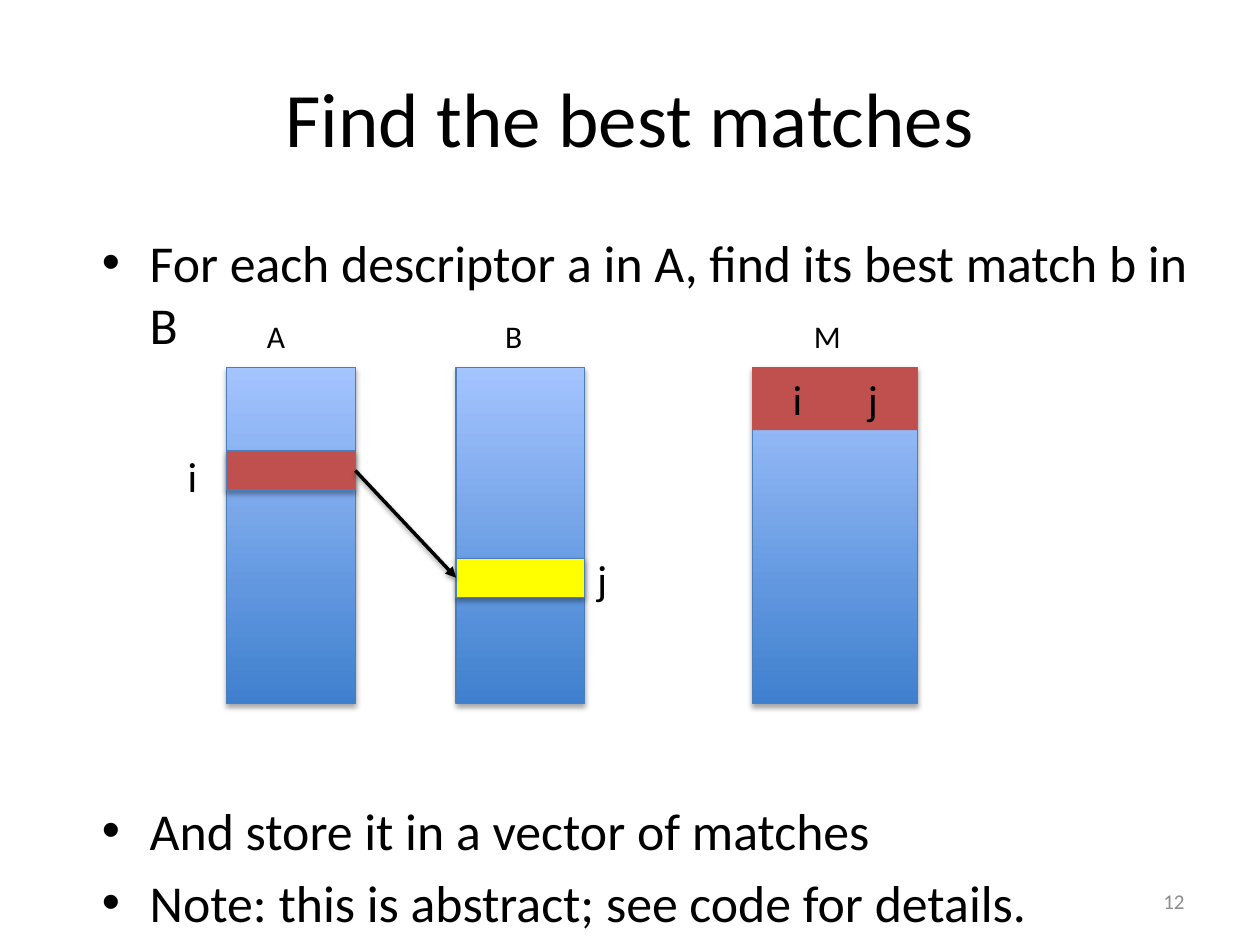
from lxml.etree import SubElement
from pptx import Presentation
from pptx.dml.color import RGBColor
from pptx.enum.shapes import MSO_CONNECTOR, MSO_SHAPE
from pptx.enum.text import MSO_ANCHOR as Anchor, PP_ALIGN as Align
from pptx.oxml.ns import qn
from pptx.util import Inches, Pt

BLACK = RGBColor(0x00, 0x00, 0x00)
GREY = RGBColor(0x8C, 0x8C, 0x8C)
RED = RGBColor(0xC0, 0x50, 0x4D)
YELLOW = RGBColor(0xFF, 0xFF, 0x00)
DARK_BLUE = RGBColor(0x3F, 0x80, 0xCE)
LIGHT_BLUE = RGBColor(0xA4, 0xC4, 0xFF)
OUTLINE = RGBColor(0x4B, 0x7E, 0xBC)

# Grid of 100 columns by 75 rows
COLUMNS, ROWS = 100, 75
CELL = Inches(0.1)

A_LEFT, B_LEFT, M_LEFT = 18, 36.2, 59.7
VECTOR_TOP, VECTOR_HEIGHT = 29.15, 26.7
VECTOR_WIDTH, M_WIDTH = 10.2, 13.1
ITEM_HEIGHT = 3.1


def cells(*counts):
    return [round(count * CELL) for count in counts]


def add_effects(shape, opacity, distance):
    """Give a shape a soft shadow that falls straight down."""
    effects = SubElement(shape._element.spPr, qn("a:effectLst"))
    shadow = SubElement(effects, qn("a:outerShdw"), blurRad=str(Pt(3.1)),
                        dist=str(Pt(distance)), dir="5400000", rotWithShape="0")
    color = SubElement(shadow, qn("a:srgbClr"), val=str(BLACK))
    SubElement(color, qn("a:alpha"), val=str(opacity * 1000))


def format_runs(text_frame, size, color=BLACK):
    for paragraph in text_frame.paragraphs:
        for run in paragraph.runs:
            run.font.name = "Calibri"
            run.font.size = Pt(size)
            run.font.color.rgb = color


def add_text(slide, box, text, size, color=BLACK, align=Align.LEFT, anchor=Anchor.TOP):
    text_frame = slide.shapes.add_textbox(*cells(*box)).text_frame
    text_frame.word_wrap = True
    text_frame.vertical_anchor = anchor
    text_frame.text = text
    for paragraph in text_frame.paragraphs:
        paragraph.alignment = align
    format_runs(text_frame, size, color)
    return text_frame


def add_tabs(paragraph, positions, align):
    tab_list = SubElement(paragraph._p.get_or_add_pPr(), qn("a:tabLst"))
    for position in cells(*positions):
        SubElement(tab_list, qn("a:tab"), pos=str(position), algn=align)


def add_bullets(slide, box, items, size):
    """Add bulleted lines, given as pairs of text and space before in points."""
    text_frame = add_text(slide, box, "\n".join(text for text, _ in items), size)
    indent = Inches(0.38)
    for paragraph, (_, space) in zip(text_frame.paragraphs, items):
        properties = paragraph._p.get_or_add_pPr()
        properties.set("marL", str(indent))
        properties.set("indent", str(-indent))
        SubElement(properties, qn("a:buFont"), typeface="Arial")
        SubElement(properties, qn("a:buChar"), char="•")
        paragraph.space_before = Pt(space)


def add_rectangle(slide, box):
    shape = slide.shapes.add_shape(MSO_SHAPE.RECTANGLE, *cells(*box))
    shape.shadow.inherit = False
    return shape


def add_outlined(slide, box, color=None):
    """Add a shadowed rectangle, with a blue gradient when no color is given."""
    shape = slide.shapes.add_shape(MSO_SHAPE.RECTANGLE, *cells(*box))
    if color is None:
        shape.fill.gradient()
        shape.fill.gradient_angle = 90
        for stop, stop_color in zip(shape.fill.gradient_stops, (DARK_BLUE, LIGHT_BLUE)):
            stop.color.rgb = stop_color
    else:
        shape.fill.solid()
        shape.fill.fore_color.rgb = color
    shape.line.color.rgb = OUTLINE
    shape.line.width = Pt(0.75)
    add_effects(shape, 35, 1.8)
    return shape


def add_arrow(slide, source, target):
    """Join the right side of source to the left side of target."""
    arrow = slide.shapes.add_connector(MSO_CONNECTOR.STRAIGHT, 0, 0, 0, 0)
    arrow.begin_connect(source, 3)
    arrow.end_connect(target, 1)
    arrow.line.color.rgb = BLACK
    arrow.line.width = Pt(2)
    SubElement(arrow.line._get_or_add_ln(), qn("a:tailEnd"), type="triangle")
    add_effects(arrow, 38, 1.6)


def add_match_header(slide):
    header = add_rectangle(slide, (M_LEFT, VECTOR_TOP, M_WIDTH, 5))
    header.fill.solid()
    header.fill.fore_color.rgb = RED
    header.line.fill.background()
    text_frame = header.text_frame
    text_frame.text = "\ti\tj"
    paragraph = text_frame.paragraphs[0]
    paragraph.alignment = Align.LEFT
    add_tabs(paragraph, (2.6, 8.6), "ctr")
    format_runs(text_frame, 24)


def main():
    presentation = Presentation()
    presentation.slide_width, presentation.slide_height = cells(COLUMNS, ROWS)
    slide = presentation.slides.add_slide(presentation.slide_layouts[6])

    add_text(slide, (5, 3, 90, 12.5), "Find the best matches", 44,
             align=Align.CENTER, anchor=Anchor.MIDDLE)
    add_bullets(slide, (7.1, 17.8, 90, 49.5), [
        ("For each descriptor a in A, find its best match b in B", 0),
        ("And store it in a vector of matches", 253.5),
        ("Note: this is abstract; see code for details.", 5.9),
    ], 29.6)
    add_text(slide, (71.7, 69.5, 23.3, 4), "12", 12, GREY, Align.RIGHT, Anchor.MIDDLE)

    for left, width in ((A_LEFT, VECTOR_WIDTH), (B_LEFT, VECTOR_WIDTH), (M_LEFT, M_WIDTH)):
        add_outlined(slide, (left, VECTOR_TOP, width, VECTOR_HEIGHT))
    item_a = add_outlined(slide, (A_LEFT, 35.8, VECTOR_WIDTH, ITEM_HEIGHT), RED)
    item_b = add_outlined(slide, (B_LEFT, 44.3, VECTOR_WIDTH, ITEM_HEIGHT), YELLOW)
    add_arrow(slide, item_a, item_b)

    add_text(slide, (13.9, 35.3, 3, 5), "i", 24)
    add_text(slide, (46.4, 43.4, 3.6, 5), "j", 24)
    add_match_header(slide)
    labels = add_text(slide, (20.2, 24.7, 59.2, 4), "A\tB\tM", 18)
    add_tabs(labels.paragraphs[0], (18.9, 43.4), "l")

    presentation.save("out.pptx")


if __name__ == "__main__":
    main()
